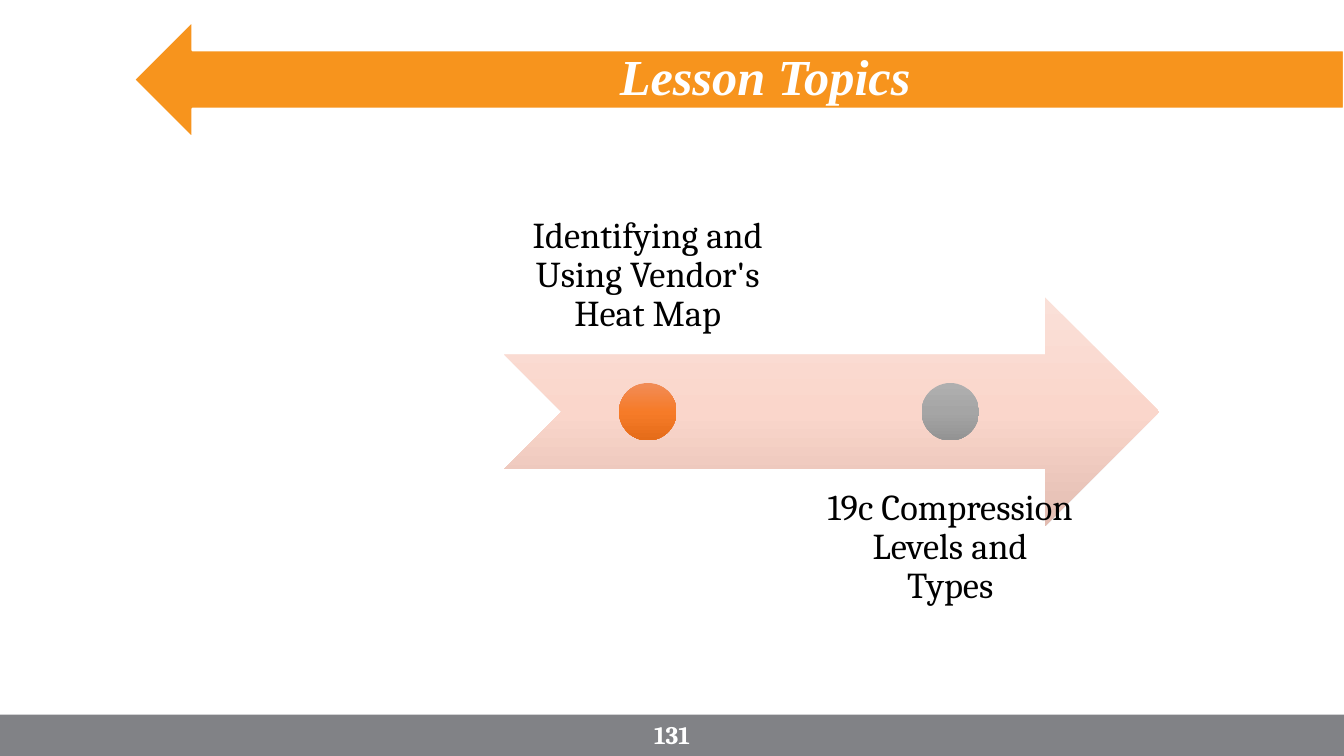
from copy import deepcopy

from pptx import Presentation
from pptx.dml.color import RGBColor
from pptx.enum.shapes import MSO_SHAPE
from pptx.enum.text import MSO_ANCHOR, PP_ALIGN
from pptx.util import Inches, Pt

LEFT_ARROW = MSO_SHAPE.LEFT_ARROW
NOTCHED_ARROW = MSO_SHAPE.NOTCHED_RIGHT_ARROW
RECTANGLE = MSO_SHAPE.RECTANGLE
OVAL = MSO_SHAPE.OVAL
TOP, MIDDLE, BOTTOM = MSO_ANCHOR.TOP, MSO_ANCHOR.MIDDLE, MSO_ANCHOR.BOTTOM
CENTER = PP_ALIGN.CENTER

THEME = {
    "banner": ["F7941D"],
    "footer": ["818286"],
    "timeline": ["FAE0D8", "FAD6CB", "E2BCB1"],
    "orange": ["F18C57", "F67B28", "E56C19"],
    "gray": ["AFAFAF", "A5A5A5", "939393"],
    "white": RGBColor.from_string("FFFFFF"),
    "black": RGBColor.from_string("000000"),
}
THEME["title"] = {"name": "Times New Roman", "size": Pt(36), "bold": True, "italic": True}
THEME["topic"] = {"name": "Cambria", "size": Pt(26)}
THEME["number"] = {"name": "Cambria", "size": Pt(18), "bold": True}


def add_filled(kind, box, colors):
    shape = slide.shapes.add_shape(kind, *map(Inches, box))
    shape.shadow.inherit = False
    shape.line.fill.background()
    if len(colors) == 1:
        shape.fill.solid()
        shape.fill.fore_color.rgb = RGBColor.from_string(colors[0])
        return shape
    shape.fill.gradient()
    shape.fill.gradient_angle = 270
    first_stop = shape.fill.gradient_stops[0]._gs
    first_stop.addnext(deepcopy(first_stop))
    for index, (stop, color) in enumerate(zip(shape.fill.gradient_stops, colors)):
        stop.color.rgb = RGBColor.from_string(color)
        stop.position = index / (len(colors) - 1)
    return shape


def add_label(text, box, style, color, anchor, inset=(0.1, 0.05), spacing=0.9):
    frame = slide.shapes.add_textbox(*map(Inches, box)).text_frame
    side, edge = map(Inches, inset)
    layout = {
        "word_wrap": True,
        "vertical_anchor": anchor,
        "margin_left": side,
        "margin_right": side,
        "margin_top": edge,
        "margin_bottom": edge,
    }
    for name, value in layout.items():
        setattr(frame, name, value)
    paragraph = frame.paragraphs[0]
    paragraph.text = text
    paragraph.alignment = CENTER
    paragraph.line_spacing = spacing
    for name, value in THEME[style].items():
        setattr(paragraph.font, name, value)
    paragraph.font.color.rgb = THEME[color]


presentation = Presentation()
presentation.slide_width = Inches(13.33)
presentation.slide_height = Inches(7.5)
slide = presentation.slides.add_slide(presentation.slide_layouts[6])

banner = add_filled(LEFT_ARROW, (1.33, 0.21, 12, 1.16), THEME["banner"])
banner.line.color.rgb = THEME["white"]
banner.line.width = Pt(1.5)
add_filled(RECTANGLE, (0, 7.09, 13.33, 0.41), THEME["footer"])
add_label("Lesson Topics", (1.66, 0.21, 11.86, 1.16), "title", "white", MIDDLE)

add_filled(NOTCHED_ARROW, (5, 2.95, 6.5, 2.27), THEME["timeline"])
topics = [
    ("Identifying and Using Vendor's Heat Map", 1.25, BOTTOM, "orange"),
    ("19c Compression Levels and Types", 4.65, TOP, "gray"),
]
topic_width, marker_size = 2.85, 0.57
for index, (topic, top, anchor, marker) in enumerate(topics):
    left = 5 + 3 * index
    add_label(topic, (left, top, topic_width, 2.27), "topic", "black", anchor, (0.2, 0.2))
    marker_left = left + (topic_width - marker_size) / 2
    add_filled(OVAL, (marker_left, 3.8, marker_size, marker_size), THEME[marker])

add_label("131", (6.29, 7.09, 0.75, 0.4), "number", "white", MIDDLE, spacing=1.0)

presentation.save("out.pptx")
